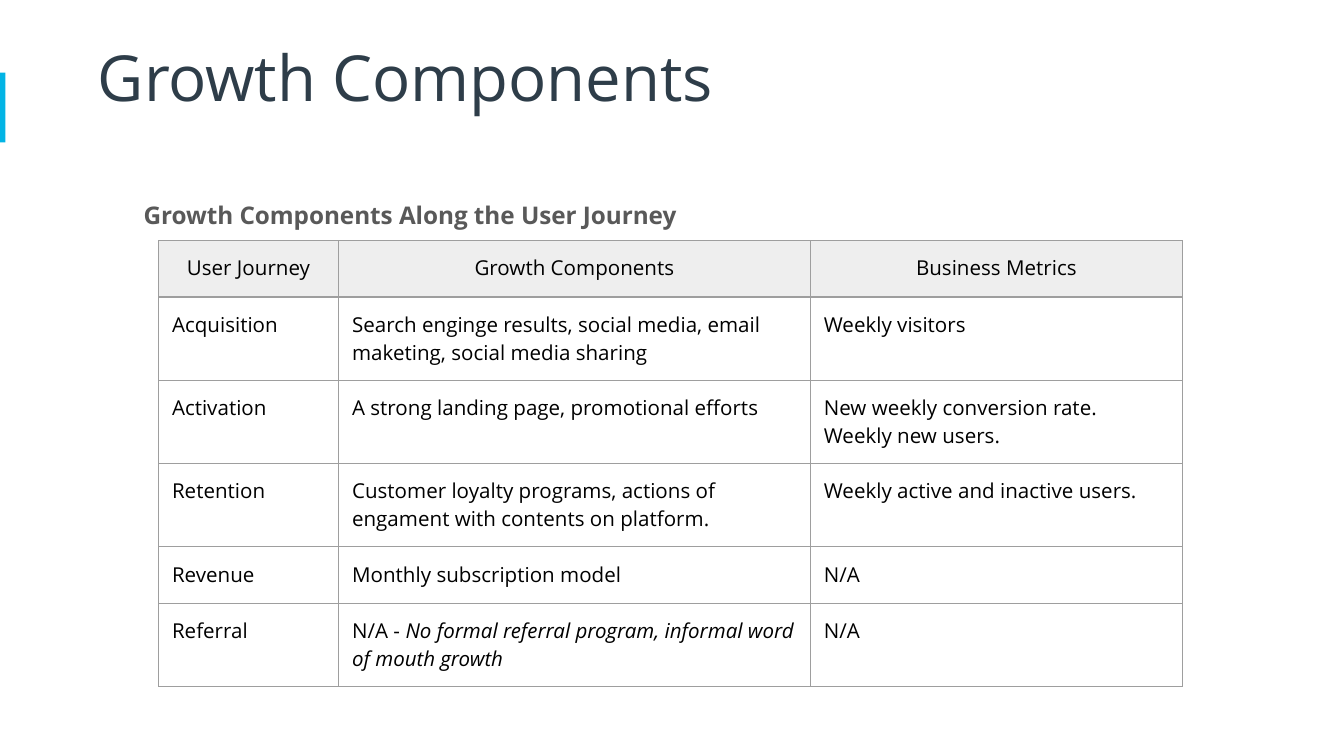
"""Build the Growth Components slide with its user journey table."""
from lxml.etree import SubElement
from pptx import Presentation
from pptx.dml.color import RGBColor
from pptx.enum.shapes import MSO_SHAPE
from pptx.enum.text import MSO_ANCHOR, PP_ALIGN
from pptx.oxml import parse_xml
from pptx.oxml.ns import nsdecls, qn
from pptx.util import Inches, Pt


def paint(item, color):
    item.solid()
    item.fore_color.rgb = RGBColor.from_string(color)


def style(para, size, color, bold=False):
    for run in para.runs:
        run.font.name = "Open Sans"
        run.font.size = Pt(size)
        run.font.bold = bold
        paint(run.font.fill, color)


deck = Presentation()
deck.slide_width = Inches(10)
deck.slide_height = Inches(10 * 9 / 16)
slide = deck.slides.add_slide(deck.slide_layouts[6])
shapes = slide.shapes

bar = shapes.add_shape(MSO_SHAPE.RECTANGLE, 0, Inches(0.54), Inches(0.04), Inches(0.52))
bar.shadow.inherit = False
paint(bar.fill, "02B4E5")
bar.line.fill.background()

heads = [
    ("Growth Components", (0.63, 0.25, 8.68, 0.63), MSO_ANCHOR.MIDDLE, 34, "2E3D49", False),
    ("Growth Components Along the User Journey", (0.97, 1.36, 7.62, 0.5),
     MSO_ANCHOR.TOP, 13, "595959", True),
]
for text, place, anchor, size, color, bold in heads:
    frame = shapes.add_textbox(*map(Inches, place)).text_frame
    frame.word_wrap = True
    frame.vertical_anchor = anchor
    frame.margin_left = frame.margin_right = Inches(0.1)
    frame.margin_top = frame.margin_bottom = Inches(0.1)
    frame.text = text
    style(frame.paragraphs[0], size, color, bold)
frame.paragraphs[0].line_spacing = 1.15
frame.paragraphs[0].space_after = Pt(16)

rows = [
    ("User Journey", "Growth Components", "Business Metrics"),
    ("Acquisition", "Search enginge results, social media, email maketing, social media sharing",
     "Weekly visitors"),
    ("Activation", "A strong landing page, promotional efforts",
     "New weekly conversion rate. Weekly new users."),
    ("Retention", "Customer loyalty programs, actions of engament with contents on platform.",
     "Weekly active and inactive users."),
    ("Revenue", "Monthly subscription model", "N/A"),
    ("Referral", "N/A -", "N/A"),
]
widths = [1.34, 3.51, 2.77]
highs = [0.42, 0.62, 0.62, 0.62, 0.42, 0.62]
table = shapes.add_table(len(rows), len(widths), Inches(1.18), Inches(1.79),
                         Inches(sum(widths)), Inches(sum(highs))).table
table.first_row = table.horz_banding = False
for col, width in zip(table.columns, widths):
    col.width = Inches(width)
for row, high in zip(table.rows, highs):
    row.height = Inches(high)

for r, row in enumerate(rows):
    for c, text in enumerate(row):
        cell = table.cell(r, c)
        cell.margin_left = cell.margin_right = Inches(0.1)
        cell.margin_top = cell.margin_bottom = Inches(0.1)
        cell.text_frame.text = text
        para = cell.text_frame.paragraphs[0]
        if (r, c) == (5, 1):
            run = para.add_run()
            run.text = " No formal referral program, informal word of mouth growth"
            run.font.italic = True
        style(para, 11, "000000")
        props = cell._tc.get_or_add_tcPr()
        for side in ("a:lnL", "a:lnR", "a:lnT", "a:lnB"):
            edge = SubElement(props, qn(side), w=str(Pt(0.75)))
            edge.append(parse_xml(
                f'<a:solidFill {nsdecls("a")}><a:srgbClr val="9E9E9E"/></a:solidFill>'))
        if r == 0:
            para.alignment = PP_ALIGN.CENTER
            paint(cell.fill, "EEEEEE")
        else:
            cell.fill.background()

deck.save("out.pptx")
